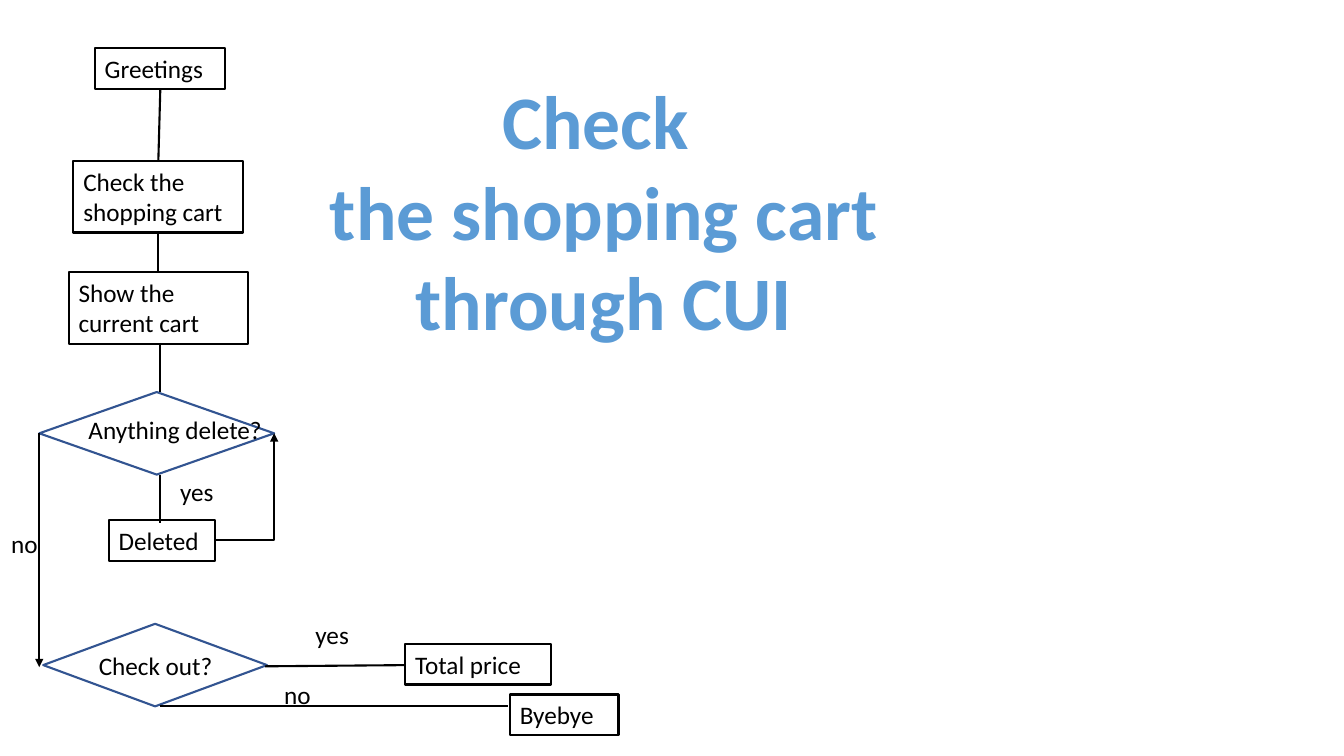
from dataclasses import dataclass
from lxml.etree import SubElement as Sub
from pptx import Presentation
from pptx.dml.color import RGBColor as Rgb
from pptx.enum.shapes import MSO_CONNECTOR as Link, MSO_SHAPE as Form
from pptx.enum.text import MSO_ANCHOR as Anchor, MSO_AUTO_SIZE as Fit, PP_ALIGN as Align
from pptx.oxml import parse_xml
from pptx.oxml.ns import nsdecls, qn
from pptx.util import Cm, Pt


@dataclass(frozen=True)
class Theme:
    font: str = "Calibri"
    ink: Rgb = Rgb(0, 0, 0)
    paper: Rgb = Rgb(255, 255, 255)
    edge: Rgb = Rgb(0x32, 0x54, 0x91)
    head: Rgb = Rgb(0x5B, 0x9B, 0xD5)
    body: Pt = Pt(18)
    large: Pt = Pt(54)
    rule: Pt = Pt(1.5)
    rim: Pt = Pt(0.75)


class Chart:
    def __init__(self, slide, theme):
        self.slide = slide
        self.theme = theme

    def stroke(self, line, color):
        line.color.rgb = color
        line.width = self.theme.rule

    def letter(self, frame, text, size, color, align=Align.LEFT, bold=False):
        frame.text = text
        for para in frame.paragraphs:
            para.alignment = align
            for run in para.runs:
                font = run.font
                font.name, font.size, font.bold = self.theme.font, size, bold
                font.color.rgb = color

    def title(self, text, *area):
        theme = self.theme
        shape = self.slide.shapes.title
        shape.left, shape.top, shape.width, shape.height = map(Cm, area)
        frame = shape.text_frame
        self.letter(frame, text, theme.large, theme.head, Align.CENTER, True)
        frame.auto_size = Fit.NONE
        frame.word_wrap = False
        frame.vertical_anchor = Anchor.TOP
        for para in frame.paragraphs:
            para.line_spacing = 1.0
            para.space_before = Pt(0)
            for run in para.runs:
                run.font._element.insert(0, parse_xml(
                    f'<a:ln {nsdecls("a")} w="{int(theme.rim)}"><a:solidFill>'
                    f'<a:srgbClr val="{theme.paper}"/></a:solidFill></a:ln>'))

    def label(self, text, left, top, width=2.74):
        shape = self.slide.shapes.add_textbox(Cm(left), Cm(top), Cm(width), Cm(1.02))
        shape.text_frame.word_wrap = True
        self.letter(shape.text_frame, text, self.theme.body, self.theme.ink)

    def form(self, kind, area, color):
        shape = self.slide.shapes.add_shape(kind, *map(Cm, area))
        shape.shadow.inherit = False
        self.stroke(shape.line, color)
        return shape

    def box(self, text, *area):
        shape = self.form(Form.RECTANGLE, area, self.theme.ink)
        shape.fill.background()
        frame = shape.text_frame
        frame.word_wrap = True
        frame.vertical_anchor = Anchor.TOP
        self.letter(frame, text, self.theme.body, self.theme.ink)

    def choice(self, *area):
        shape = self.form(Form.DIAMOND, area, self.theme.edge)
        shape.fill.solid()
        shape.fill.fore_color.rgb = self.theme.paper

    def link(self, *ends, arrow=False, bent=False):
        kind = Link.ELBOW if bent else Link.STRAIGHT
        wire = self.slide.shapes.add_connector(kind, *map(Cm, ends))
        self.stroke(wire.line, self.theme.ink)
        props = wire._element.spPr
        if bent:
            props.find(qn("a:prstGeom")).set("prst", "bentConnector2")
        if arrow:
            Sub(props.find(qn("a:ln")), qn("a:tailEnd"), type="triangle")
        Sub(props, qn("a:effectLst"))


deck = Presentation()
deck.slide_width, deck.slide_height = Cm(33.87), Cm(19.05)
flow = Chart(deck.slides.add_slide(deck.slide_layouts[5]), Theme())

flow.title("Check \nthe shopping cart\nthrough CUI", 7.98, 1.73, 14.48, 7.19)

flow.choice(0.99, 9.88, 5.92, 2.08)
flow.choice(1.09, 15.72, 5.64, 2.08)

for step in (
    ("Greetings", 2.39, 1.22, 3.28, 1.02),
    ("Check the shopping cart", 1.85, 4.06, 4.27, 1.8),
    ("Show the current cart", 1.73, 6.86, 4.52, 1.8),
    ("Deleted", 2.74, 13.11, 2.69, 1.02),
    ("Total price", 10.21, 16.23, 3.68, 1.02),
    ("Byebye", 12.85, 17.5, 2.74, 1.02),
):
    flow.box(*step)

for note in (
    ("Anything delete?", 1.98, 10.31, 7.54),
    ("Check out?", 2.24, 16.26, 7.54),
    ("yes", 4.29, 11.89),
    ("no", 0.03, 13.18),
    ("no", 6.91, 16.99),
    ("yes", 7.7, 15.47),
):
    flow.label(*note)

for ends in (
    (4.04, 2.24, 3.99, 4.06),
    (3.99, 5.84, 3.99, 6.86),
    (4.04, 8.64, 4.04, 9.88),
    (4.04, 11.96, 4.04, 13.18),
    (4.04, 17.78, 12.8, 17.78),
    (6.68, 16.79, 10.21, 16.76),
):
    flow.link(*ends)

flow.link(0.99, 10.92, 0.99, 16.81, arrow=True)
flow.link(5.44, 13.61, 6.91, 10.92, arrow=True, bent=True)

deck.save("out.pptx")
